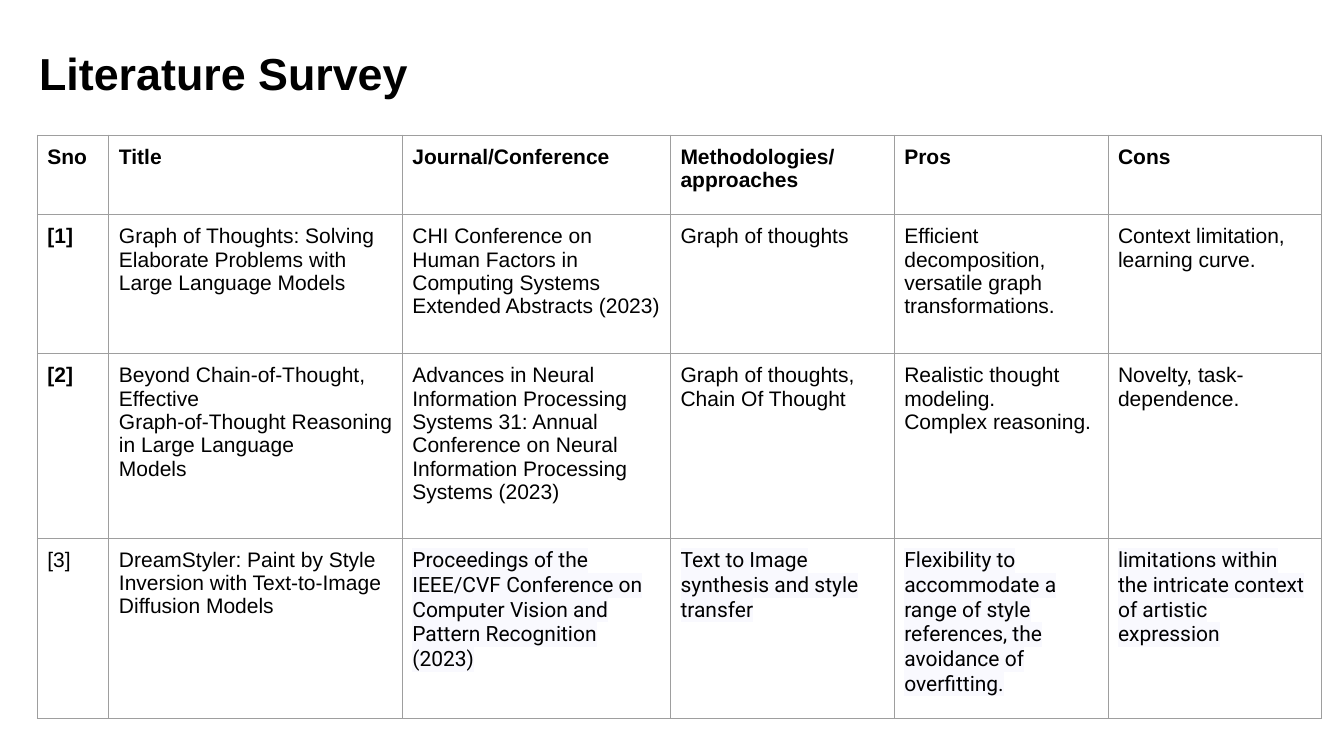
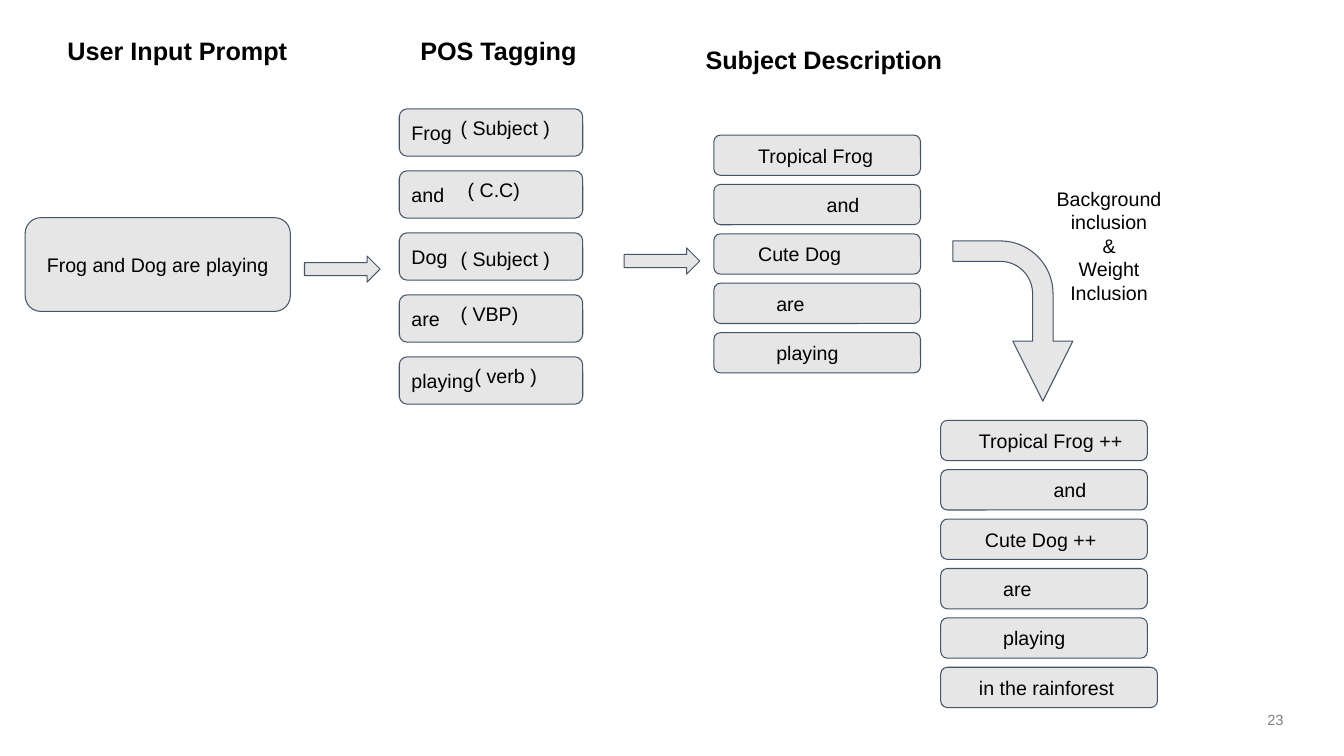
from lxml import etree
from pptx import Presentation
from pptx.dml.color import RGBColor
from pptx.enum.shapes import MSO_SHAPE
from pptx.enum.text import MSO_ANCHOR, PP_ALIGN
from pptx.oxml.ns import qn
from pptx.util import Inches, Pt

BLACK = RGBColor(0x00, 0x00, 0x00)
PAGE_GREY = RGBColor(0x7F, 0x7F, 0x7F)
BLOCK_GREY = RGBColor(0xE7, 0xE6, 0xE6)
OUTLINE = RGBColor(0x44, 0x54, 0x6A)
GRID_GREY = RGBColor(0x9E, 0x9E, 0x9E)
HIGHLIGHT = RGBColor(0xF9, 0xF9, 0xFE)

ROUNDED = MSO_SHAPE.ROUNDED_RECTANGLE
RIGHT_ARROW = MSO_SHAPE.RIGHT_ARROW
BENT_ARROW = MSO_SHAPE.BENT_ARROW
TOP, MIDDLE, BOTTOM = MSO_ANCHOR.TOP, MSO_ANCHOR.MIDDLE, MSO_ANCHOR.BOTTOM
LEFT, CENTER, RIGHT = PP_ALIGN.LEFT, PP_ALIGN.CENTER, PP_ALIGN.RIGHT
INSET = 0.1


def write(frame, text, size=14, bold=False, align=LEFT, anchor=TOP,
          color=BLACK, font="Arial", pad=INSET, indent=0):
    """Fill a text frame, one paragraph per line of text; return its runs."""
    frame.word_wrap = True
    frame.vertical_anchor = anchor
    frame.margin_left = Inches(INSET + indent)
    frame.margin_right = Inches(INSET)
    frame.margin_top = frame.margin_bottom = Inches(pad)
    runs = []
    for i, line in enumerate(text.split("\n")):
        paragraph = frame.paragraphs[0] if i == 0 else frame.add_paragraph()
        paragraph.alignment = align
        run = paragraph.add_run()
        run.text = line
        run.font.size = Pt(size)
        run.font.bold = bold
        run.font.color.rgb = color
        run.font.name = font
        runs.append(run)
    return runs


def add_block(slide, preset, left, top, width, height):
    """Add a grey outlined shape."""
    block = slide.shapes.add_shape(preset, Inches(left), Inches(top), Inches(width), Inches(height))
    block.shadow.inherit = False
    block.fill.solid()
    block.fill.fore_color.rgb = BLOCK_GREY
    block.line.color.rgb = OUTLINE
    block.line.width = Pt(0.75)
    return block


prs = Presentation()
prs.slide_width = Inches(13.33)
prs.slide_height = Inches(7.5)
blank = prs.slide_layouts[6]

# Literature survey
survey = prs.slides.add_slide(blank)
title = survey.shapes.add_textbox(Inches(0.29), Inches(0.4), Inches(12.33), Inches(0.64))
write(title.text_frame, "Literature Survey", size=32, bold=True, anchor=MIDDLE, pad=0.05)

COLUMN_WIDTHS = [0.71, 2.91, 2.66, 2.22, 2.12, 2.12]
ROW_HEIGHTS = [0.79, 1.38, 1.83, 1.79]
PAPERS = [
    ["Sno", "Title", "Journal/Conference", "Methodologies/approaches", "Pros", "Cons"],
    ["[1]",
     "Graph of Thoughts: Solving Elaborate Problems with Large Language Models",
     "CHI Conference on Human Factors in Computing Systems Extended Abstracts (2023)",
     "Graph of thoughts",
     "Efficient decomposition, versatile graph transformations.",
     "Context limitation, learning curve."],
    ["[2]",
     "Beyond Chain-of-Thought, Effective\n"
     "Graph-of-Thought Reasoning in Large Language\nModels",
     "Advances in Neural Information Processing Systems 31: "
     "Annual Conference on Neural Information Processing Systems (2023)",
     "Graph of thoughts, Chain Of Thought",
     "Realistic thought modeling.\nComplex reasoning.",
     "Novelty, task-dependence."],
    ["[3]",
     "DreamStyler: Paint by Style Inversion with Text-to-Image Diffusion Models",
     "Proceedings of the IEEE/CVF Conference on Computer Vision and Pattern Recognition (2023)",
     "Text to Image synthesis and style transfer",
     "Flexibility to accommodate a range of style references, the avoidance of overfitting.",
     "limitations within the intricate context of artistic expression"],
]
papers = survey.shapes.add_table(
    len(PAPERS), len(COLUMN_WIDTHS), Inches(0.37), Inches(1.34),
    Inches(sum(COLUMN_WIDTHS)), Inches(sum(ROW_HEIGHTS))).table
papers.first_row = False
papers.horz_banding = False
for column, width in zip(papers.columns, COLUMN_WIDTHS):
    column.width = Inches(width)
for row, height in zip(papers.rows, ROW_HEIGHTS):
    row.height = Inches(height)

for r, entries in enumerate(PAPERS):
    for c, entry in enumerate(entries):
        cell = papers.cell(r, c)
        highlighted = r == 3 and c >= 2
        runs = write(cell.text_frame, entry, size=15,
                     bold=r == 0 or (c == 0 and r < 3),
                     font="Roboto" if highlighted else "Arial")
        cell.margin_left = cell.margin_right = Inches(INSET)
        cell.margin_top = cell.margin_bottom = Inches(INSET)
        cell.fill.background()
        borders = cell._tc.get_or_add_tcPr()
        for i, side in enumerate(("lnL", "lnR", "lnT", "lnB")):
            border = etree.Element(qn(f"a:{side}"), w=str(Pt(0.75)))
            fill = etree.SubElement(border, qn("a:solidFill"))
            etree.SubElement(fill, qn("a:srgbClr"), val=str(GRID_GREY))
            borders.insert(i, border)
        if highlighted:
            for run in runs:
                marker = etree.Element(qn("a:highlight"))
                etree.SubElement(marker, qn("a:srgbClr"), val=str(HIGHLIGHT))
                run._r.rPr.find(qn("a:solidFill")).addnext(marker)

# Prompt processing flow
flow = prs.slides.add_slide(blank)
page_number = flow.shapes.add_textbox(Inches(12.33), Inches(7.01), Inches(0.5), Inches(0.27))
write(page_number.text_frame, "23", size=10.5, align=RIGHT, anchor=BOTTOM,
      color=PAGE_GREY, pad=0.05)

for heading, left, top, width in [("User Input Prompt", 0.57, 0.25, 2.49),
                                  ("POS Tagging", 4.07, 0.25, 2.49),
                                  ("Subject Description", 6.9, 0.34, 3.13)]:
    label = flow.shapes.add_textbox(Inches(left), Inches(top), Inches(width), Inches(0.27))
    write(label.text_frame, heading, size=18, bold=True)

prompt = add_block(flow, ROUNDED, 0.25, 2.16, 2.63, 0.93)
write(prompt.text_frame, "Frog and Dog are playing", align=CENTER, anchor=MIDDLE)

for left, top in [(3.02, 2.54), (6.19, 2.46)]:
    add_block(flow, RIGHT_ARROW, left, top, 0.75, 0.26)

TAGGED_WORDS = [  # word, tag, tag left, tag drop
    ("Frog", "( Subject )", 4.47, 0),
    ("and", "( C.C)", 4.54, 0),
    ("Dog", "( Subject )", 4.47, 0.07),
    ("are", "( VBP)", 4.47, 0),
    ("playing", "( verb )", 4.61, 0),
]
for i, (word, tag, tag_left, drop) in enumerate(TAGGED_WORDS):
    top = 1.08 + i * 0.615
    word_block = add_block(flow, ROUNDED, 3.96, top, 1.82, 0.47)
    write(word_block.text_frame, word, anchor=MIDDLE)
    tag_label = flow.shapes.add_textbox(Inches(tag_left), Inches(top + drop),
                                        Inches(1.1), Inches(0.17))
    write(tag_label.text_frame, tag)

DESCRIBED = [("Tropical Frog", 0.32), ("and", 1), ("Cute Dog", 0.32),
             ("are", 0.5), ("playing", 0.5)]
WEIGHTED = [("Tropical Frog ++", 0.26), ("and", 1), ("Cute Dog ++", 0.32),
            ("are", 0.5), ("playing", 0.5), ("in the rainforest", 0.26)]
for phrases, left, first_top in [(DESCRIBED, 7.08, 1.34), (WEIGHTED, 9.33, 4.17)]:
    for i, (phrase, indent) in enumerate(phrases):
        width = 2.15 if phrase == "in the rainforest" else 2.05
        phrase_block = add_block(flow, ROUNDED, left, first_top + i * 0.49, width, 0.4)
        write(phrase_block.text_frame, phrase, anchor=MIDDLE, indent=indent)

turn = add_block(flow, BENT_ARROW, 9.25, 2.59, 1.59, 1.19)
turn.rotation = 90
for i, value in enumerate((0.17, 0.25, 0.5, 0.44)):
    turn.adjustments[i] = value

inclusion = flow.shapes.add_textbox(Inches(10.21), Inches(1.75), Inches(1.58), Inches(1.38))
write(inclusion.text_frame, "Background inclusion\n&\nWeight Inclusion", align=CENTER)

prs.save("out.pptx")
